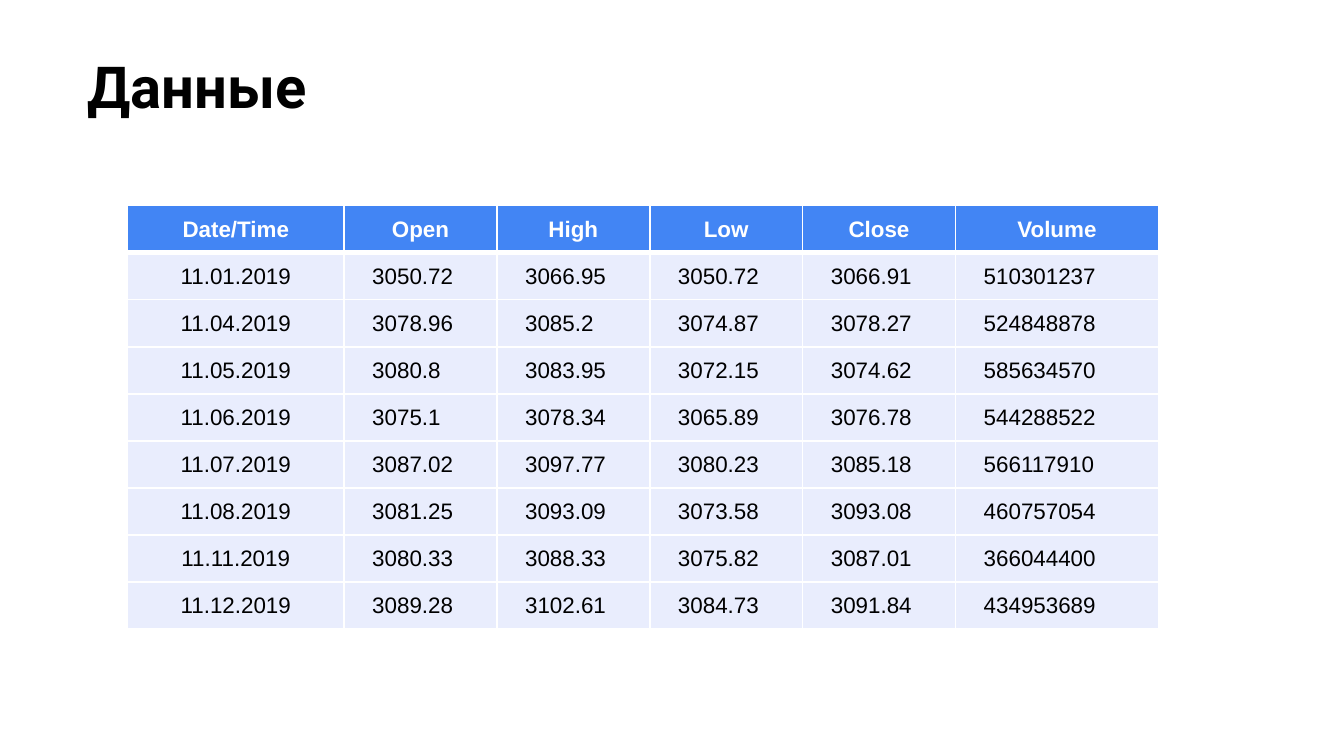
from pptx import Presentation
from pptx import util as u
from pptx.dml.color import RGBColor
from pptx.enum import text
from pptx.oxml import parse_xml
from pptx.oxml.ns import nsdecls


def color(value):
    return RGBColor.from_string(value)


def set_borders(cell, widths):
    """Draw white borders; widths are points for left, right, top, bottom."""
    tcPr = cell._tc.get_or_add_tcPr()
    for i, (side, width) in enumerate(zip("LRTB", widths)):
        tcPr.insert(i, parse_xml(
            f'<a:ln{side} {nsdecls("a")} w="{u.Pt(width)}"><a:solidFill>'
            f'<a:srgbClr val="FFFFFF"/></a:solidFill></a:ln{side}>'))


# Widescreen 16:9 slide
prs = Presentation()
prs.slide_width = u.Inches(10)
prs.slide_height = u.Inches(10 * 9 / 16)
s = prs.slides.add_slide(prs.slide_layouts[5])

# Title
title = s.shapes.title
title.left, title.top = u.Inches(0.55), u.Inches(0.28)
title.width, title.height = u.Inches(9.32), u.Inches(1.2)
tf = title.text_frame
tf.text = "Данные"
tf.vertical_anchor = text.MSO_ANCHOR.TOP
tf.margin_left = tf.margin_right = tf.margin_top = tf.margin_bottom = u.Inches(0.1)
p = tf.paragraphs[0]
p.alignment = text.PP_ALIGN.LEFT
font = p.runs[0].font
font.name, font.size, font.bold = "Roboto", u.Pt(31), True
font.color.rgb = color("000000")

# Price table
rows = [
    ("Date/Time", "Open", "High", "Low", "Close", "Volume"),
    ("11.01.2019", "3050.72", "3066.95", "3050.72", "3066.91", "510301237"),
    ("11.04.2019", "3078.96", "3085.2", "3074.87", "3078.27", "524848878"),
    ("11.05.2019", "3080.8", "3083.95", "3072.15", "3074.62", "585634570"),
    ("11.06.2019", "3075.1", "3078.34", "3065.89", "3076.78", "544288522"),
    ("11.07.2019", "3087.02", "3097.77", "3080.23", "3085.18", "566117910"),
    ("11.08.2019", "3081.25", "3093.09", "3073.58", "3093.08", "460757054"),
    ("11.11.2019", "3080.33", "3088.33", "3075.82", "3087.01", "366044400"),
    ("11.12.2019", "3089.28", "3102.61", "3084.73", "3091.84", "434953689"),
]
# The four price columns share what the date and volume columns leave
table_width, date_width, volume_width = 7.67, 1.61, 1.51
price_width = (table_width - date_width - volume_width) / 4
col_widths = [date_width] + [price_width] * 4 + [volume_width]
table = s.shapes.add_table(
    len(rows), len(col_widths), u.Inches(0.95), u.Inches(1.53),
    u.Inches(table_width), u.Inches(0.35 * len(rows))).table
table.horz_banding = False
for col, width in zip(table.columns, col_widths):
    col.width = u.Inches(width)

for r, values in enumerate(rows):
    table.rows[r].height = u.Inches(0.35)
    header = r == 0
    for c, value in enumerate(values):
        cell = table.cell(r, c)
        cell.fill.solid()
        cell.fill.fore_color.rgb = color("4285F4" if header else "E9EDFD")
        # A thicker line separates the header from the data
        set_borders(cell, (1, 1, 3 if r == 1 else 1, 3 if header else 1))
        cell.vertical_anchor = text.MSO_ANCHOR.MIDDLE
        cell.margin_left = cell.margin_right = cell.margin_top = u.Inches(0.01)
        cell.margin_bottom = 0

        cell.text_frame.text = value
        p = cell.text_frame.paragraphs[0]
        p.space_before = p.space_after = u.Pt(6)
        if header or c == 0:
            p.alignment = text.PP_ALIGN.CENTER
        else:
            p.alignment = text.PP_ALIGN.LEFT
            p._p.get_or_add_pPr().set("marL", str(u.Inches(0.2)))
        font = p.runs[0].font
        font.name, font.size, font.bold = "Arial", u.Pt(12), header
        font.color.rgb = color("FFFFFF" if header else "000000")

prs.save("out.pptx")
